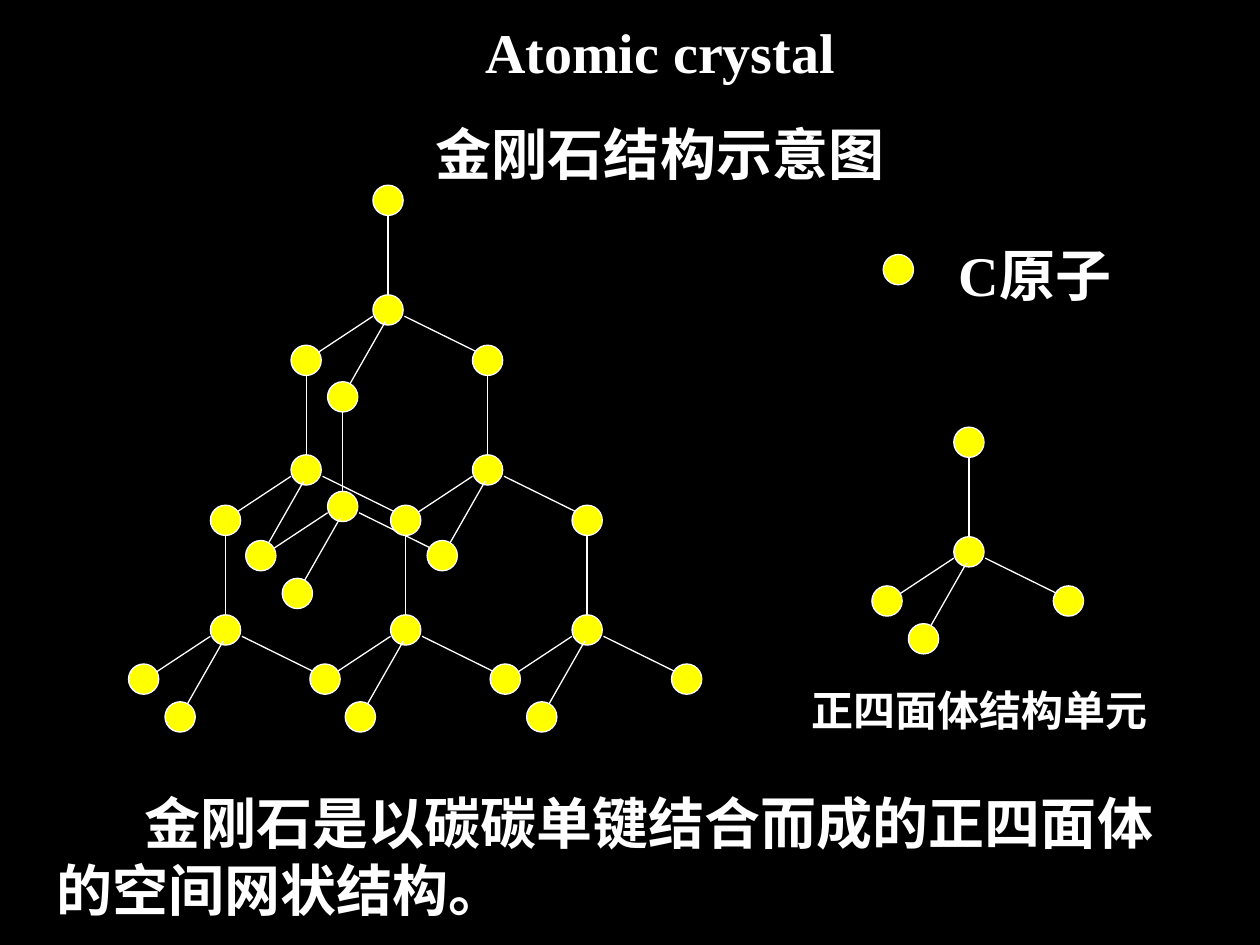
from lxml import etree
from pptx import Presentation
from pptx.dml.color import RGBColor
from pptx.enum import shapes, text
from pptx.oxml import ns
from pptx.util import Inches, Pt

COLORS = {"background": "000000", "ink": "FFFFFF", "atom": "FFFF00"}
ATOM_SIZE = 0.24

prs = Presentation()
prs.slide_width, prs.slide_height = Inches(10), Inches(7.5)
slide = prs.slides.add_slide(prs.slide_layouts[6])
slide.background.fill.solid()
slide.background.fill.fore_color.rgb = RGBColor.from_string(COLORS["background"])


def add_text(lines, left, top, width, height, size=32, align=text.PP_ALIGN.LEFT,
             anchor=text.MSO_ANCHOR.TOP, space=0, indent=0):
    box = slide.shapes.add_textbox(*map(Inches, (left, top, width, height)))
    frame = box.text_frame
    frame.word_wrap = True
    frame.vertical_anchor = anchor
    for i, line in enumerate(lines):
        para = frame.paragraphs[0] if i == 0 else frame.add_paragraph()
        para.alignment = align
        if i:
            para.space_before = Pt(space)
        if indent:
            para._p.get_or_add_pPr().set("indent", str(Inches(indent)))
        run = para.add_run()
        run.text = line
        run.font.name = "Times New Roman"
        run.font.size = Pt(size)
        run.font.bold = True
        run.font.color.rgb = RGBColor.from_string(COLORS["ink"])


def add_atom(parent, left, top):
    atom = parent.add_shape(shapes.MSO_SHAPE.OVAL, Inches(left), Inches(top),
                            Inches(ATOM_SIZE), Inches(ATOM_SIZE))
    atom.shadow.inherit = False
    atom.fill.solid()
    atom.fill.fore_color.rgb = RGBColor.from_string(COLORS["atom"])
    atom.line.color.rgb = RGBColor.from_string(COLORS["ink"])
    atom.line.width = Pt(0.75)


add_text(["Atomic crystal", "金刚石结构示意图"], 0.99, 0.05, 8.5, 1.48,
         align=text.PP_ALIGN.CENTER, anchor=text.MSO_ANCHOR.BOTTOM, space=20)
add_atom(slide.shapes, 7.01, 2.02)
add_text(["C原子"], 7.51, 1.86, 1.75, 0.64)

# Offsets from a carbon's top left corner: bond start, bond end, neighbour
directions = {
    "up": ((0.12, 0), (0.12, -0.67), (0, -0.87)),
    "left": ((0, 0.17), (-0.5, 0.5), (-0.65, 0.39)),
    "front": ((0.1, 0.21), (-0.23, 0.79), (-0.36, 0.69)),
    "right": ((0.25, 0.17), (0.92, 0.5), (0.79, 0.39)),
}
carbons = [
    (2.96, 2.34, ["up"]),
    (7.57, 4.26, list(directions)),
    (2.31, 3.61, ["up"]),
    (3.75, 3.61, ["up"]),
    (2.6, 3.9, list(directions)),
    (4.54, 4.88, ["up", "front", "right"]),
    (3.1, 4.88, ["up", "front", "right"]),
    (1.67, 4.88, list(directions)),
]
for x, y, neighbours in carbons:
    unit = slide.shapes.add_group_shape().shapes
    add_atom(unit, x, y)
    for direction, (start, end, neighbour) in directions.items():
        bond = unit.add_connector(
            shapes.MSO_CONNECTOR.STRAIGHT, Inches(x + start[0]), Inches(y + start[1]),
            Inches(x + end[0]), Inches(y + end[1]))
        bond.line.color.rgb = RGBColor.from_string(COLORS["ink"])
        bond.line.width = Pt(0.75)
        etree.SubElement(bond._element.spPr, ns.qn("a:effectLst"))
        if direction in neighbours:
            add_atom(unit, x + neighbour[0], y + neighbour[1])

add_text(["正四面体结构单元"], 6.34, 5.38, 2.92, 0.5, size=24)
add_text(["金刚石是以碳碳单键结合而成的正四面体的空间网状结构。"],
         0.35, 6.21, 9.17, 1.17, indent=0.7)

prs.save("out.pptx")
